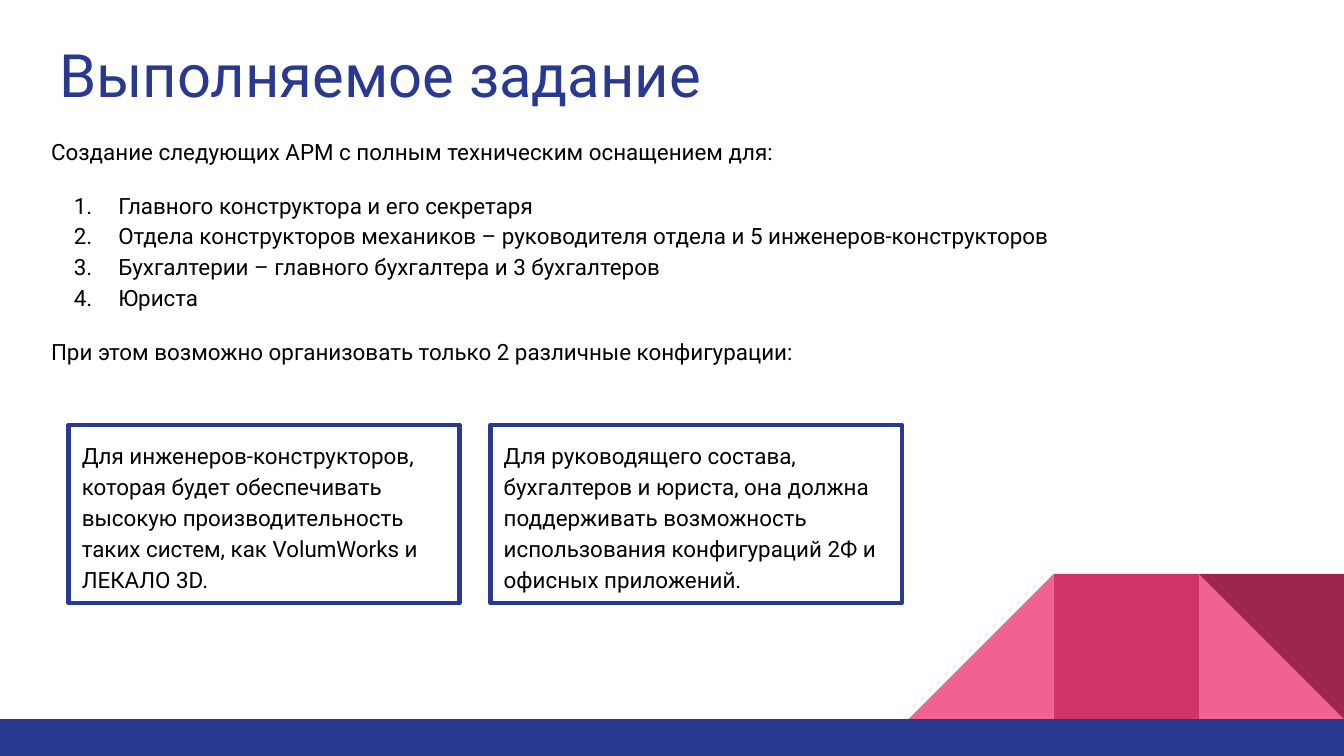
from dataclasses import dataclass

from lxml.etree import SubElement
from pptx import Presentation
from pptx.dml.color import RGBColor
from pptx.enum.shapes import MSO_SHAPE as Preset
from pptx.enum.text import MSO_ANCHOR as Anchor, MSO_AUTO_SIZE as AutoSize, PP_ALIGN as Align
from pptx.oxml.ns import qn
from pptx.util import Inches, Pt

COLORS = {
    "navy": "2A3990",
    "pink": "F06292",
    "rose": "D23369",
    "wine": "9C254D",
    "black": "000000",
}
FONT = "Roboto"
SLIDE_WIDTH = 10
SLIDE_HEIGHT = SLIDE_WIDTH * 9 / 16
TILE = 1.08
BAND_TOP = 5.35
TILE_TOP = BAND_TOP - TILE


@dataclass
class Decoration:
    preset: Preset
    left: float
    top: float
    width: float
    height: float
    color: str
    rotation: int = 0


@dataclass
class Line:
    text: str
    numbered: bool = False
    before: int = 0
    after: int = 0


@dataclass
class Configuration:
    left: float
    width: float
    text: str


DECORATIONS = [
    Decoration(Preset.RIGHT_TRIANGLE, 8.92, TILE_TOP, TILE, TILE, "pink"),
    Decoration(Preset.RIGHT_TRIANGLE, 6.76, TILE_TOP, TILE, TILE, "pink", 270),
    Decoration(Preset.RECTANGLE, 7.84, TILE_TOP, TILE, TILE, "rose"),
    Decoration(Preset.RIGHT_TRIANGLE, 8.92, TILE_TOP, TILE, TILE, "wine", 180),
    Decoration(Preset.RECTANGLE, 0, BAND_TOP, SLIDE_WIDTH, SLIDE_HEIGHT - BAND_TOP, "navy"),
]
BODY = [
    Line("Создание следующих АРМ с полным техническим оснащением для:"),
    Line("Главного конструктора и его секретаря", True, before=12),
    Line("Отдела конструкторов механиков – руководителя отдела и 5 инженеров-конструкторов", True),
    Line("Бухгалтерии – главного бухгалтера и 3 бухгалтеров", True),
    Line("Юриста", True),
    Line("При этом возможно организовать только 2 различные конфигурации:", before=12, after=12),
]
CONFIGURATIONS = [
    Configuration(0.51, 2.91, "Для инженеров-конструкторов, которая будет обеспечивать высокую "
                              "производительность таких систем, как VolumWorks и ЛЕКАЛО 3D."),
    Configuration(3.65, 3.06, "Для руководящего состава, бухгалтеров и юриста, она должна поддерживать "
                              "возможность использования конфигураций 2Ф и офисных приложений."),
]


def rgb(name: str) -> RGBColor:
    return RGBColor.from_string(COLORS[name])


def set_attributes(target, values: dict) -> None:
    for name, value in values.items():
        setattr(target, name, value)


def place(shape, left: float, top: float, width: float, height: float) -> None:
    set_attributes(shape, {"left": Inches(left), "top": Inches(top),
                           "width": Inches(width), "height": Inches(height)})


def format_frame(frame) -> None:
    margins = {f"margin_{side}": Inches(0.1) for side in ("left", "top", "right", "bottom")}
    set_attributes(frame, {**margins, "word_wrap": True, "auto_size": AutoSize.NONE,
                           "vertical_anchor": Anchor.TOP})


def write(paragraph, text: str, size: int, color: str, spacing: float = 1.0,
          before: int = 0, after: int = 0) -> None:
    run = paragraph.add_run()
    run.text = text
    set_attributes(run.font, {"name": FONT, "size": Pt(size)})
    run.font.color.rgb = rgb(color)
    set_attributes(paragraph, {"alignment": Align.LEFT, "line_spacing": spacing,
                               "space_before": Pt(before), "space_after": Pt(after)})


def set_bullet(paragraph, numbered: bool) -> None:
    """Number the paragraph, or take its bullet and indent away."""
    properties = paragraph._p.get_or_add_pPr()
    properties.set("marL", str(Inches(0.5 if numbered else 0)))
    properties.set("indent", str(Inches(-0.33 if numbered else 0)))
    if numbered:
        color = SubElement(properties, qn("a:buClr"))
        SubElement(color, qn("a:srgbClr"), val=COLORS["black"])
        SubElement(properties, qn("a:buFont"), typeface=FONT)
        SubElement(properties, qn("a:buAutoNum"), type="arabicPeriod")
    else:
        SubElement(properties, qn("a:buNone"))


def draw_decoration(slide, item: Decoration) -> None:
    shape = slide.shapes.add_shape(item.preset, Inches(item.left), Inches(item.top),
                                   Inches(item.width), Inches(item.height))
    shape.shadow.inherit = False
    shape.rotation = item.rotation
    shape.fill.solid()
    shape.fill.fore_color.rgb = rgb(item.color)
    shape.line.fill.background()


def fill_title(title) -> None:
    place(title, 0.34, 0.18, 9.32, 0.72)
    format_frame(title.text_frame)
    write(title.text_frame.paragraphs[0], "Выполняемое задание", 32, "navy")


def fill_body(body, lines: list[Line]) -> None:
    place(body, 0.28, 0.9, 8, 1.91)
    frame = body.text_frame
    format_frame(frame)
    for index, line in enumerate(lines):
        paragraph = frame.add_paragraph() if index else frame.paragraphs[0]
        write(paragraph, line.text, 12, "black", 1.15, line.before, line.after)
        set_bullet(paragraph, line.numbered)


def draw_configuration(slide, item: Configuration) -> None:
    shape = slide.shapes.add_shape(Preset.RECTANGLE, Inches(item.left), Inches(3.16),
                                   Inches(item.width), Inches(1.33))
    shape.shadow.inherit = False
    shape.fill.background()
    shape.line.color.rgb = rgb("navy")
    shape.line.width = Pt(2.25)
    format_frame(shape.text_frame)
    write(shape.text_frame.paragraphs[0], item.text, 12, "black", 1.15, after=12)


def main() -> None:
    presentation = Presentation()
    set_attributes(presentation, {"slide_width": Inches(SLIDE_WIDTH),
                                  "slide_height": Inches(SLIDE_HEIGHT)})
    slide = presentation.slides.add_slide(presentation.slide_layouts[1])
    for decoration in DECORATIONS:
        draw_decoration(slide, decoration)
    fill_title(slide.shapes.title)
    fill_body(slide.placeholders[1], BODY)
    for configuration in CONFIGURATIONS:
        draw_configuration(slide, configuration)
    presentation.save("out.pptx")


if __name__ == "__main__":
    main()
